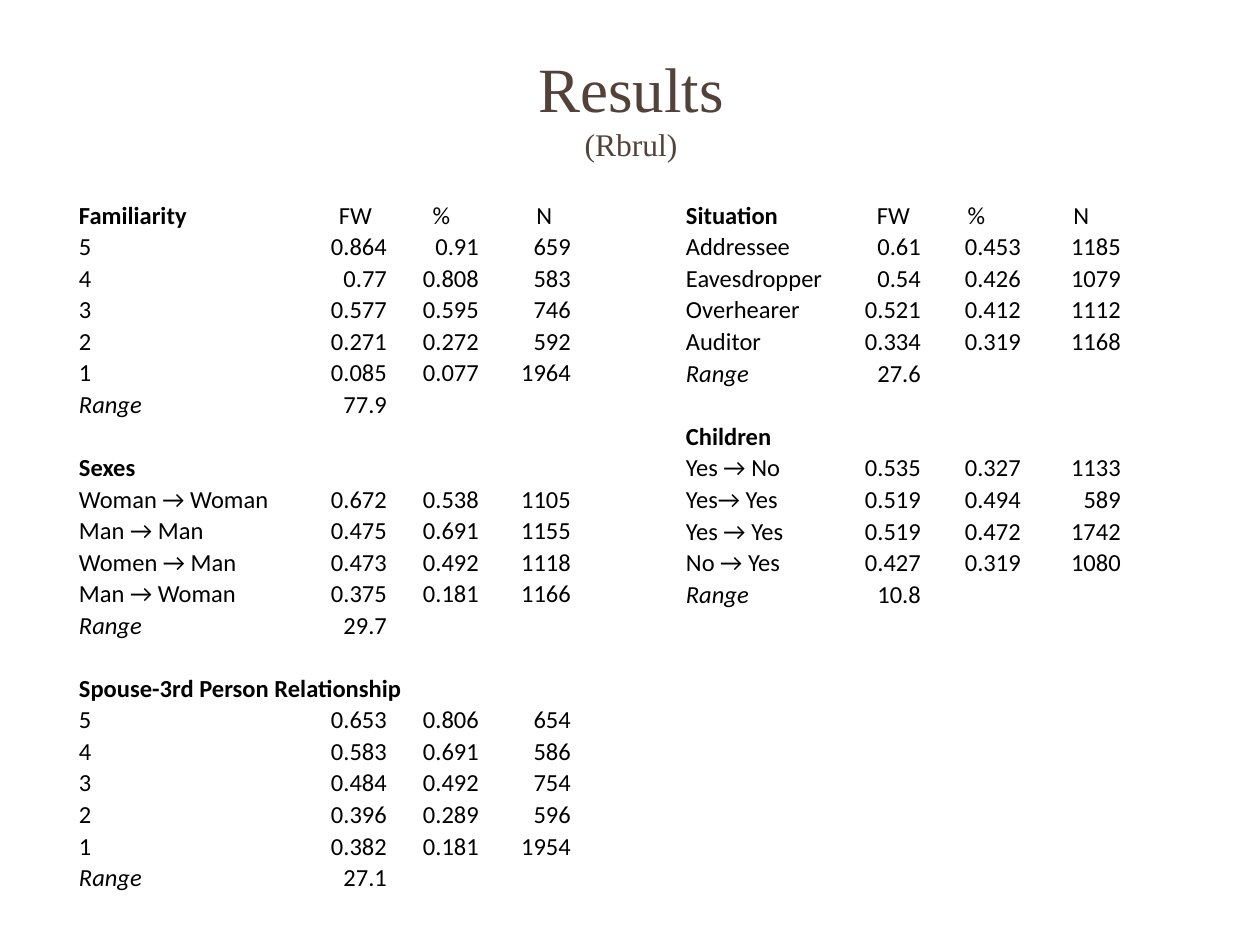
from dataclasses import dataclass

from lxml.etree import SubElement
from pptx import Presentation
from pptx.dml.color import RGBColor
from pptx.enum.text import MSO_ANCHOR, MSO_AUTO_SIZE, PP_ALIGN
from pptx.oxml.ns import qn
from pptx.util import Pt

LEFT, CENTER, RIGHT = PP_ALIGN.LEFT, PP_ALIGN.CENTER, PP_ALIGN.RIGHT
MIDDLE, BOTTOM = MSO_ANCHOR.MIDDLE, MSO_ANCHOR.BOTTOM
PX = 914400 // 126


@dataclass(frozen=True)
class Theme:
    title_font: str = "Times New Roman"
    table_font: str = "Calibri"
    title_color: RGBColor = RGBColor(0x53, 0x42, 0x39)
    text_color: RGBColor = RGBColor(0, 0, 0)
    title_size: int = 36
    subtitle_size: int = 18
    table_size: int = 14


THEME = Theme()
TITLE, SUBTITLE = "Results", "(Rbrul)"
TITLE_BOX = (111, 53, 1040, 106)
HEADINGS = ("FW", "%", "N")

# Each group: heading, rows of (label, FW, %, N), range
LEFT_GROUPS = [
    ("Familiarity", [
        ("5", "0.864", "0.91", "659"),
        ("4", "0.77", "0.808", "583"),
        ("3", "0.577", "0.595", "746"),
        ("2", "0.271", "0.272", "592"),
        ("1", "0.085", "0.077", "1964"),
    ], "77.9"),
    ("Sexes", [
        ("Woman → Woman", "0.672", "0.538", "1105"),
        ("Man → Man", "0.475", "0.691", "1155"),
        ("Women → Man", "0.473", "0.492", "1118"),
        ("Man → Woman", "0.375", "0.181", "1166"),
    ], "29.7"),
    ("Spouse-3rd Person Relationship", [
        ("5", "0.653", "0.806", "654"),
        ("4", "0.583", "0.691", "586"),
        ("3", "0.484", "0.492", "754"),
        ("2", "0.396", "0.289", "596"),
        ("1", "0.382", "0.181", "1954"),
    ], "27.1"),
]
RIGHT_GROUPS = [
    ("Situation", [
        ("Addressee", "0.61", "0.453", "1185"),
        ("Eavesdropper", "0.54", "0.426", "1079"),
        ("Overhearer", "0.521", "0.412", "1112"),
        ("Auditor", "0.334", "0.319", "1168"),
    ], "27.6"),
    ("Children", [
        ("Yes → No", "0.535", "0.327", "1133"),
        ("Yes→ Yes", "0.519", "0.494", "589"),
        ("Yes → Yes", "0.519", "0.472", "1742"),
        ("No → Yes", "0.427", "0.319", "1080"),
    ], "10.8"),
]
# heading_insets shift the centred column headings towards the figures below
TABLES = [
    dict(groups=RIGHT_GROUPS, x=685, y=199, height=411,
         cols=(150, 87, 100, 100), heading_insets=(31, 10, 20)),
    dict(groups=LEFT_GROUPS, x=78, y=199, height=695,
         cols=(218, 92, 92, 92), heading_insets=(28, 16, 38)),
]


def add_run(p, text, font, size, color, bold=False, italic=False):
    r = p.add_run()
    r.text = text
    f = r.font
    f.name, f.size, f.bold, f.italic = font, Pt(size), bold, italic
    f.color.rgb = color


def add_title(s):
    title = s.shapes.title
    title.left, title.top, title.width, title.height = (v * PX for v in TITLE_BOX)
    tf = title.text_frame
    tf.auto_size, tf.vertical_anchor = MSO_AUTO_SIZE.NONE, MIDDLE
    p = tf.paragraphs[0]
    p.alignment = CENTER
    add_run(p, TITLE, THEME.title_font, THEME.title_size, THEME.title_color)
    p.add_line_break()
    SubElement(p._p.find(qn("a:br")), qn("a:rPr"), sz=str(THEME.title_size * 100))
    add_run(p, SUBTITLE, THEME.title_font, THEME.subtitle_size, THEME.title_color)


def table_rows(groups):
    """Flatten groups into (kind, cell texts), with an empty row between groups."""
    rows = []
    for heading, data, spread in groups:
        if rows:
            rows.append(("gap", ("",) * 4))
        rows.append(("heading", (heading, *(("",) * 3 if rows else HEADINGS))))
        rows += [("data", row) for row in data]
        rows.append(("range", ("Range", spread, "", "")))
    return rows


def fill_cell(cell, text, kind, col, heading_insets):
    cell.fill.background()
    cell.vertical_anchor = BOTTOM
    cell.margin_left = cell.margin_right = cell.margin_top = PX
    cell.margin_bottom = 0
    p = cell.text_frame.paragraphs[0]
    if not text:
        SubElement(p._p, qn("a:endParaRPr"), sz=str(THEME.table_size * 100))
        return
    p.alignment = LEFT if col == 0 else RIGHT
    if kind == "heading" and col:
        p.alignment = CENTER
        cell.margin_left = heading_insets[col - 1] * PX
    add_run(p, text, THEME.table_font, THEME.table_size, THEME.text_color,
            bold=kind == "heading" and col == 0,
            italic=kind == "range" and col == 0)


def add_results(s, groups, x, y, height, cols, heading_insets):
    rows = table_rows(groups)
    table = s.shapes.add_table(len(rows), len(cols), x * PX, y * PX,
                               sum(cols) * PX, height * PX).table
    table.first_row = table.horz_banding = False
    for column, width in zip(table.columns, cols):
        column.width = width * PX
    for i, (kind, texts) in enumerate(rows):
        for j, text in enumerate(texts):
            fill_cell(table.cell(i, j), text, kind, j, heading_insets)
        if texts[0].startswith("Spouse"):
            table.cell(i, 0).merge(table.cell(i, 2))


def main():
    prs = Presentation()
    prs.slide_width, prs.slide_height = 1260 * PX, 945 * PX
    s = prs.slides.add_slide(prs.slide_layouts[5])
    add_title(s)
    for table in TABLES:
        add_results(s, **table)
    prs.save("out.pptx")


if __name__ == "__main__":
    main()
